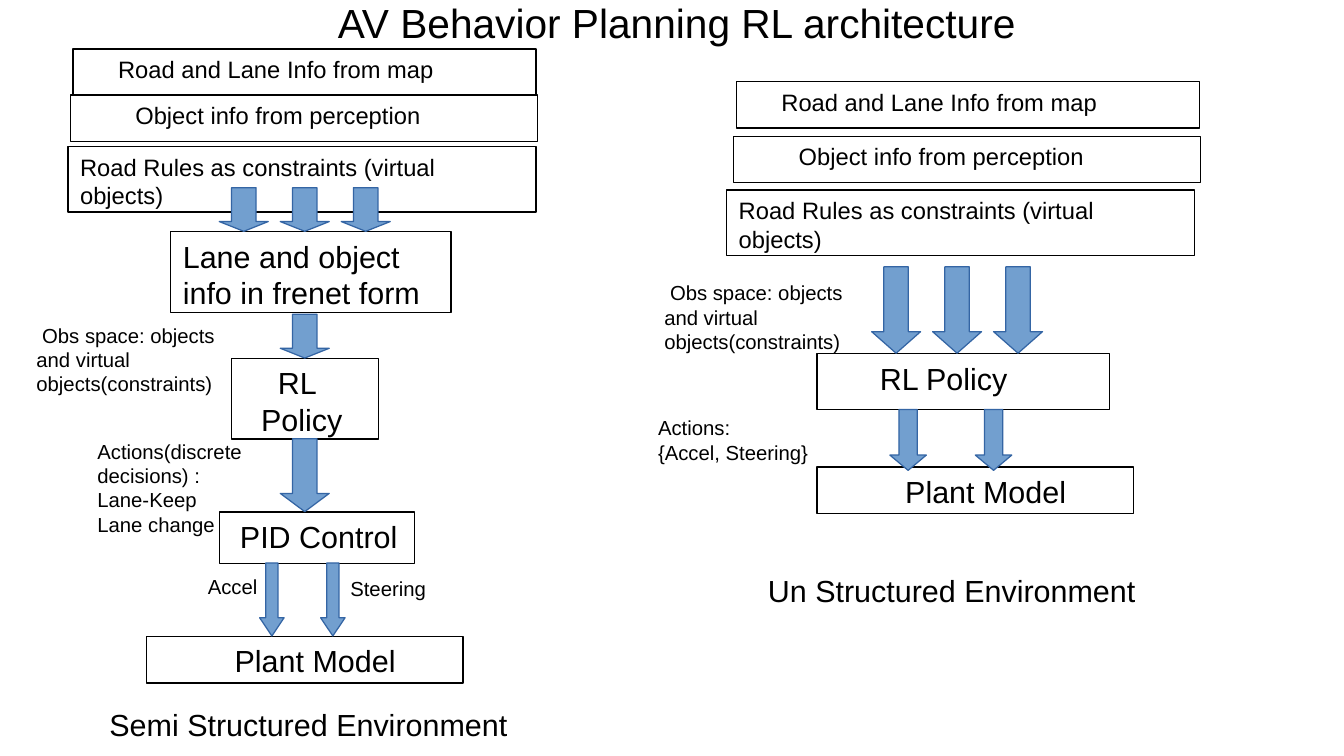
import pptx
import pptx.dml.color
import pptx.enum.shapes
import pptx.enum.text
import pptx.util

Cm, Pt = pptx.util.Cm, pptx.util.Pt
BLACK = pptx.dml.color.RGBColor(0x00, 0x00, 0x00)
ARROW_FILL = pptx.dml.color.RGBColor(0x72, 0x9F, 0xCF)
ARROW_LINE = pptx.dml.color.RGBColor(0x34, 0x65, 0xA4)

TITLE = "AV Behavior Planning RL architecture"
ROAD = "Road and Lane Info from map"
OBJECTS = "Object info from perception"
RULES = "Road Rules as constraints (virtual objects)"
POLICY = "RL Policy"
PLANT = "Plant Model"
OBSERVATION = "Obs space: objects and virtual objects(constraints)"

# lines, size in pt, (left, top, width, height) in cm, left margin, first-line indent
STAGES = [
    # semi structured
    ([ROAD], 14, (1.52, 1.02, 9.65, 0.97), 0.69, 0),
    ([OBJECTS], 14, (1.47, 1.98, 9.73, 0.97), 1.1, 0),
    ([RULES], 14, (1.42, 3.05, 9.75, 1.37), 0, 0),
    (["Lane and object info in frenet form"], 18, (3.56, 4.83, 5.84, 1.68), 0, 0),
    ([POLICY], 18, (4.83, 7.47, 3.05, 1.68), 0.36, 0.35),
    (["PID Control"], 18, (4.57, 10.67, 4.06, 1.07), 0.18, 0),
    ([PLANT], 18, (3.05, 13.26, 6.6, 0.97), 1.59, 0),
    # un structured
    ([ROAD], 14, (15.34, 1.7, 9.65, 0.97), 0.69, 0),
    ([OBJECTS], 14, (15.29, 2.84, 9.73, 0.97), 1.1, 0),
    ([RULES], 14, (15.14, 3.96, 9.75, 1.37), 0, 0),
    ([POLICY], 18, (17.02, 7.37, 6.1, 1.17), 1.06, 0),
    ([PLANT], 18, (17.02, 9.73, 6.6, 0.97), 1.59, 0),
]

LABELS = [
    ([OBSERVATION], 12, (0.51, 6.6, 4.57, 2.13), 0, 0.12),
    (["Actions(discrete decisions) :", "Lane-Keep", "Lane change"], 12,
     (1.78, 9.02, 4.06, 2.13), 0, 0),
    (["Accel"], 12, (3.96, 11.84, 2.72, 0.97), 0.12, 0),
    (["Steering"], 12, (6.93, 11.89, 2.72, 0.97), 0.12, 0),
    (["Semi Structured Environment"], 18, (2.03, 14.58, 9.65, 1.17), 0, 0),
    ([OBSERVATION], 12, (13.59, 5.72, 4.57, 2.13), 0, 0.12),
    (["Actions:", "{Accel, Steering}"], 12, (13.46, 8.53, 4.06, 1.37), 0, 0),
    (["Un Structured Environment"], 18, (15.75, 11.79, 9.65, 1.17), 0, 0),
]

# first left, top, width, height, count, step (cm)
ARROW_ROWS = [
    (4.57, 3.91, 1.02, 0.91, 3, 1.27),
    (5.84, 6.55, 1.02, 0.91, 1, 0),
    (5.84, 9.14, 1.02, 1.52, 1, 0),
    (5.41, 11.73, 0.51, 1.52, 2, 1.27),
    (18.16, 5.56, 1.02, 1.8, 3, 1.27),
    (18.54, 8.53, 0.76, 1.27, 2, 1.78),
]
HEAD_SHARE = 0.25


def write(frame, lines, size, margin=0, indent=0):
    frame.word_wrap = True
    frame.auto_size = pptx.enum.text.MSO_AUTO_SIZE.NONE
    frame.vertical_anchor = pptx.enum.text.MSO_ANCHOR.TOP
    for number, line in enumerate(lines):
        paragraph = frame.add_paragraph() if number else frame.paragraphs[0]
        paragraph.alignment = pptx.enum.text.PP_ALIGN.LEFT
        properties = paragraph._p.get_or_add_pPr()
        properties.set("marL", str(Cm(margin)))
        properties.set("indent", str(Cm(indent)))
        run = paragraph.add_run()
        run.text = line
        run.font.size = Pt(size)
        run.font.name = "Arial"
        run.font.color.rgb = BLACK


def add_outlined(shapes, kind, box, line_color):
    shape = shapes.add_shape(kind, *map(Cm, box))
    shape.shadow.inherit = False
    shape.line.color.rgb = line_color
    shape.line.width = Pt(0)
    return shape


def main():
    deck = pptx.Presentation()
    deck.slide_width, deck.slide_height = Cm(28), Cm(15.75)
    shapes = deck.slides.add_slide(deck.slide_layouts[5]).shapes
    kinds = pptx.enum.shapes.MSO_SHAPE

    title = shapes.title
    title.left, title.top, title.width, title.height = map(Cm, (1.02, -0.51, 26.16, 1.96))
    frame = title.text_frame
    write(frame, [TITLE], 24)
    frame.vertical_anchor = pptx.enum.text.MSO_ANCHOR.MIDDLE
    frame.margin_left = frame.margin_right = frame.margin_top = frame.margin_bottom = 0
    frame.paragraphs[0].alignment = pptx.enum.text.PP_ALIGN.CENTER

    for lines, size, box, margin, indent in STAGES:
        stage = add_outlined(shapes, kinds.RECTANGLE, box, BLACK)
        stage.fill.background()
        write(stage.text_frame, lines, size, margin, indent)

    for lines, size, box, margin, indent in LABELS:
        label = shapes.add_textbox(*map(Cm, box))
        write(label.text_frame, lines, size, margin, indent)

    for left, top, width, height, count, step in ARROW_ROWS:
        for number in range(count):
            box = (left + number * step, top, width, height)
            arrow = add_outlined(shapes, kinds.DOWN_ARROW, box, ARROW_LINE)
            arrow.fill.solid()
            arrow.fill.fore_color.rgb = ARROW_FILL
            arrow.adjustments[0] = 0.5
            arrow.adjustments[1] = HEAD_SHARE * height / width

    deck.save("out.pptx")


if __name__ == "__main__":
    main()
